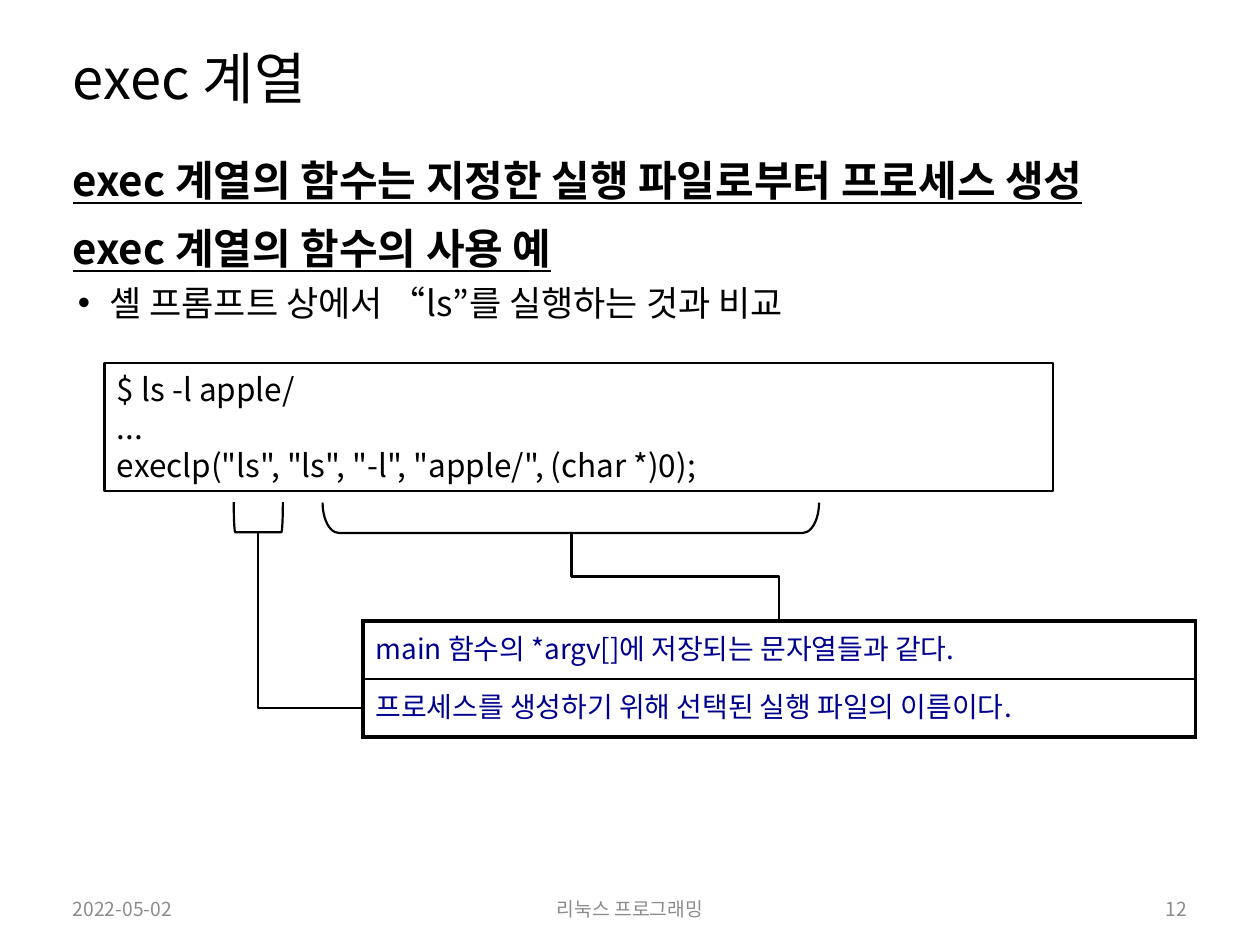
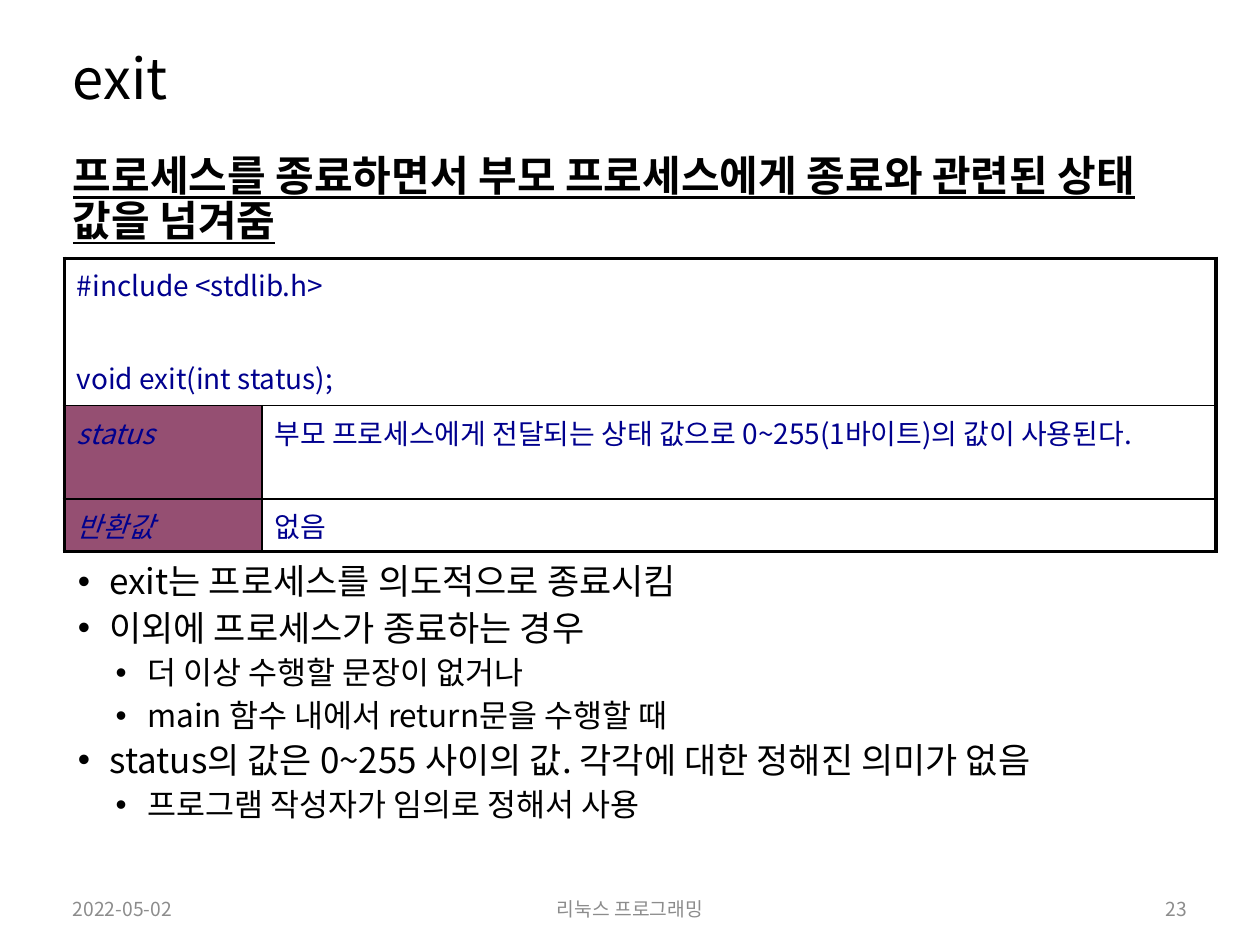
from dataclasses import dataclass
from typing import NamedTuple, Optional

from lxml.etree import SubElement
from pptx import Presentation
from pptx.dml.color import RGBColor as RGB
from pptx.enum.shapes import MSO_CONNECTOR as CONN, MSO_SHAPE as SHAPE
from pptx.enum.text import MSO_ANCHOR as ANCHOR, PP_ALIGN as ALIGN
from pptx.oxml import parse_xml
from pptx.oxml.ns import nsdecls, qn
from pptx.util import Inches, Pt

WIDTH, HEIGHT = Inches(10), Inches(7.5)
COL, ROW = WIDTH / 100, HEIGHT / 75


@dataclass(frozen=True)
class Theme:
    font: str = "Noto Sans CJK KR"
    ink: str = "000000"
    navy: str = "00008E"
    grey: str = "8C8C8C"
    plum: str = "954F72"
    title: float = 32
    lead: float = 24
    point: float = 20
    detail: float = 18
    cell: float = 16
    footer: float = 11
    thin: float = 1
    line: float = 1.25
    thick: float = 2.25


T = Theme()


class Box(NamedTuple):
    col: float
    row: float
    cols: float
    rows: float

    def emu(self) -> tuple[int, int, int, int]:
        return (round(self.col * COL), round(self.row * ROW),
                round(self.cols * COL), round(self.rows * ROW))


class Style(NamedTuple):
    size: float
    color: str = T.ink
    bold: bool = False
    underline: bool = False
    italic: bool = False
    align: ALIGN = ALIGN.LEFT
    before: float = 0
    indent: Optional[float] = None


class Line(NamedTuple):
    text: str
    style: Style


class Cell(NamedTuple):
    lines: list[Line]
    fill: Optional[str] = None


class Elbow(NamedTuple):
    box: Box
    preset: str
    rotation: int
    flip: bool = False


TITLE = Style(T.title)
LEAD = Style(T.lead, bold=True, underline=True, before=10)
POINT = Style(T.point, before=5, indent=0.29)
DETAIL = Style(T.detail, before=5, indent=0.59)
CODE = Style(T.detail)
CELL = Style(T.cell, T.navy)
LABEL = CELL._replace(italic=True)
AFTER_GAP = CELL._replace(before=29.6)
FOOTER = Style(T.footer, T.grey)


def write(tf, lines: list[Line], spacing: Optional[float] = None) -> None:
    tf.word_wrap = True
    for i, (text, st) in enumerate(lines):
        p = tf.paragraphs[0] if i == 0 else tf.add_paragraph()
        p.text = text
        p.alignment = st.align
        p.space_before = Pt(st.before if i else 0)
        if spacing:
            p.line_spacing = spacing
        if st.indent is not None:
            pr = p._p.get_or_add_pPr()
            pr.set("marL", str(Inches(st.indent)))
            pr.set("indent", str(Inches(-0.25)))
            SubElement(pr, qn("a:buFont")).set("typeface", "Arial")
            SubElement(pr, qn("a:buChar")).set("char", "•")
        f = p.font
        f.name, f.size = T.font, Pt(st.size)
        f.bold, f.italic, f.underline = st.bold, st.italic, st.underline
        f.color.rgb = RGB.from_string(st.color)
        for r in p.runs:
            ea = SubElement(r._r.get_or_add_rPr(), qn("a:ea"))
            ea.set("typeface", T.font)


def add_text(s, box: Box, lines: list[Line], anchor: ANCHOR = ANCHOR.TOP,
             spacing: Optional[float] = None) -> None:
    tf = s.shapes.add_textbox(*box.emu()).text_frame
    tf.vertical_anchor = anchor
    write(tf, lines, spacing)


def add_outline(s, kind: SHAPE, box: Box):
    sp = s.shapes.add_shape(kind, *box.emu())
    sp.shadow.inherit = False
    sp.fill.background()
    sp.line.color.rgb = RGB.from_string(T.ink)
    sp.line.width = Pt(T.line)
    return sp


def add_bracket(s, box: Box, curve: float) -> None:
    sp = add_outline(s, SHAPE.RIGHT_BRACKET, box)
    sp.adjustments[0] = curve
    sp.rotation = 90


def add_elbow(s, elbow: Elbow) -> None:
    x, y, w, h = elbow.box.emu()
    c = s.shapes.add_connector(CONN.ELBOW, x, y, x + w, y + h)
    c.line.color.rgb = RGB.from_string(T.ink)
    c.line.width = Pt(T.line)
    pr = c._element.spPr
    pr.find(qn("a:prstGeom")).set("prst", elbow.preset)
    xfrm = pr.find(qn("a:xfrm"))
    xfrm.set("rot", str(elbow.rotation * 60000))
    if elbow.flip:
        xfrm.set("flipH", "1")
    SubElement(pr, qn("a:effectLst"))


def set_borders(cell, outer: dict[str, bool]) -> None:
    pr = cell._tc.get_or_add_tcPr()
    for i, (side, is_outer) in enumerate(outer.items()):
        width = Pt(T.thick if is_outer else T.thin)
        pr.insert(i, parse_xml(
            f'<a:ln{side} {nsdecls("a")} w="{width}"><a:solidFill>'
            f'<a:srgbClr val="{T.ink}"/></a:solidFill></a:ln{side}>'))


def add_grid(s, box: Box, cols: list[float], rows: list[float],
             cells: list[list[Cell]]) -> None:
    table = s.shapes.add_table(len(rows), len(cols), *box.emu()).table
    table.first_row = table.horz_banding = False
    for i, width in enumerate(cols):
        table.columns[i].width = round(width * COL)
    for j, height in enumerate(rows):
        table.rows[j].height = round(height * ROW)
        spans = len(cells[j]) < len(cols)
        if spans:
            table.cell(j, 0).merge(table.cell(j, len(cols) - 1))
        for i in range(len(cols)):
            cell = table.cell(j, i)
            cell.fill.background()
            if i < len(cells[j]):
                lines, fill = cells[j][i]
                write(cell.text_frame, lines)
                if fill:
                    cell.fill.solid()
                    cell.fill.fore_color.rgb = RGB.from_string(fill)
            set_borders(cell, {"L": spans or i == 0,
                               "R": spans or i == len(cols) - 1,
                               "T": j == 0, "B": j == len(rows) - 1})


def new_slide(prs, title: str, number: int):
    s = prs.slides.add_slide(prs.slide_layouts[6])
    add_text(s, Box(4.8, 2.3, 90.6, 8.3), [Line(title, TITLE)],
             ANCHOR.MIDDLE, 0.9)
    for col, cols, text, align in (
            (4.8, 22.5, "2022-05-02", ALIGN.LEFT),
            (33.1, 33.8, "리눅스 프로그래밍", ALIGN.CENTER),
            (72.7, 22.5, str(number), ALIGN.RIGHT)):
        add_text(s, Box(col, 70.7, cols, 2.8),
                 [Line(text, FOOTER._replace(align=align))], ANCHOR.MIDDLE)
    return s


def exec_slide(prs) -> None:
    s = new_slide(prs, "exec 계열", 12)
    add_text(s, Box(4.8, 11.8, 90.6, 15), [
        Line("exec 계열의 함수는 지정한 실행 파일로부터 프로세스 생성", LEAD),
        Line("exec 계열의 함수의 사용 예", LEAD),
        Line("셸 프롬프트 상에서 “ls”를 실행하는 것과 비교", POINT)])
    sp = add_outline(s, SHAPE.RECTANGLE, Box(8.3, 28.8, 75.3, 10.2))
    sp.text_frame.vertical_anchor = ANCHOR.MIDDLE
    write(sp.text_frame, [
        Line("$ ls -l apple/", CODE), Line("...", CODE),
        Line('execlp("ls", "ls", "-l", "apple/", (char *)0);', CODE)])
    add_grid(s, Box(28.8, 49.3, 66.1, 9.2), [66.1], [4.6, 4.6], [
        [Cell([Line("main 함수의 *argv[]에 저장되는 문자열들과 같다.", CELL)])],
        [Cell([Line("프로세스를 생성하기 위해 선택된 실행 파일의 이름이다.",
                    CELL)])]])
    add_bracket(s, Box(44.1, 21.4, 2.4, 39.4), 0.54)
    add_bracket(s, Box(19.3, 39.1, 2.4, 3.9), 0.05)
    for elbow in (
            Elbow(Box(20.5, 42.3, 8.3, 13.9), "bentConnector2", 180),
            Elbow(Box(50.1, 37.5, 7, 16.5), "bentConnector3", 270, True)):
        add_elbow(s, elbow)


def exit_slide(prs) -> None:
    s = new_slide(prs, "exit", 23)
    add_text(s, Box(4.8, 11.8, 90.6, 8.5), [
        Line("프로세스를 종료하면서 부모 프로세스에게 종료와 관련된 상태 값을 넘겨줌",
             LEAD)], spacing=0.9)
    add_text(s, Box(4.8, 44.3, 90.6, 23), [
        Line("exit는 프로세스를 의도적으로 종료시킴", POINT),
        Line("이외에 프로세스가 종료하는 경우", POINT),
        Line("더 이상 수행할 문장이 없거나", DETAIL),
        Line("main 함수 내에서 return문을 수행할 때", DETAIL),
        Line("status의 값은 0~255 사이의 값. 각각에 대한 정해진 의미가 없음", POINT),
        Line("프로그램 작성자가 임의로 정해서 사용", DETAIL)], spacing=0.9)
    add_grid(s, Box(5.1, 20.5, 91.4, 23.3), [15.7, 75.7], [11.7, 7.4, 4.2], [
        [Cell([Line("#include <stdlib.h>", CELL),
               Line("void exit(int status);", AFTER_GAP)])],
        [Cell([Line("status", LABEL)], T.plum),
         Cell([Line("부모 프로세스에게 전달되는 상태 값으로 0~255(1바이트)의 "
                    "값이 사용된다.", CELL)])],
        [Cell([Line("반환값", LABEL)], T.plum), Cell([Line("없음", CELL)])]])


def main() -> None:
    prs = Presentation()
    prs.slide_width, prs.slide_height = WIDTH, HEIGHT
    exec_slide(prs)
    exit_slide(prs)
    prs.save("out.pptx")


if __name__ == "__main__":
    main()
